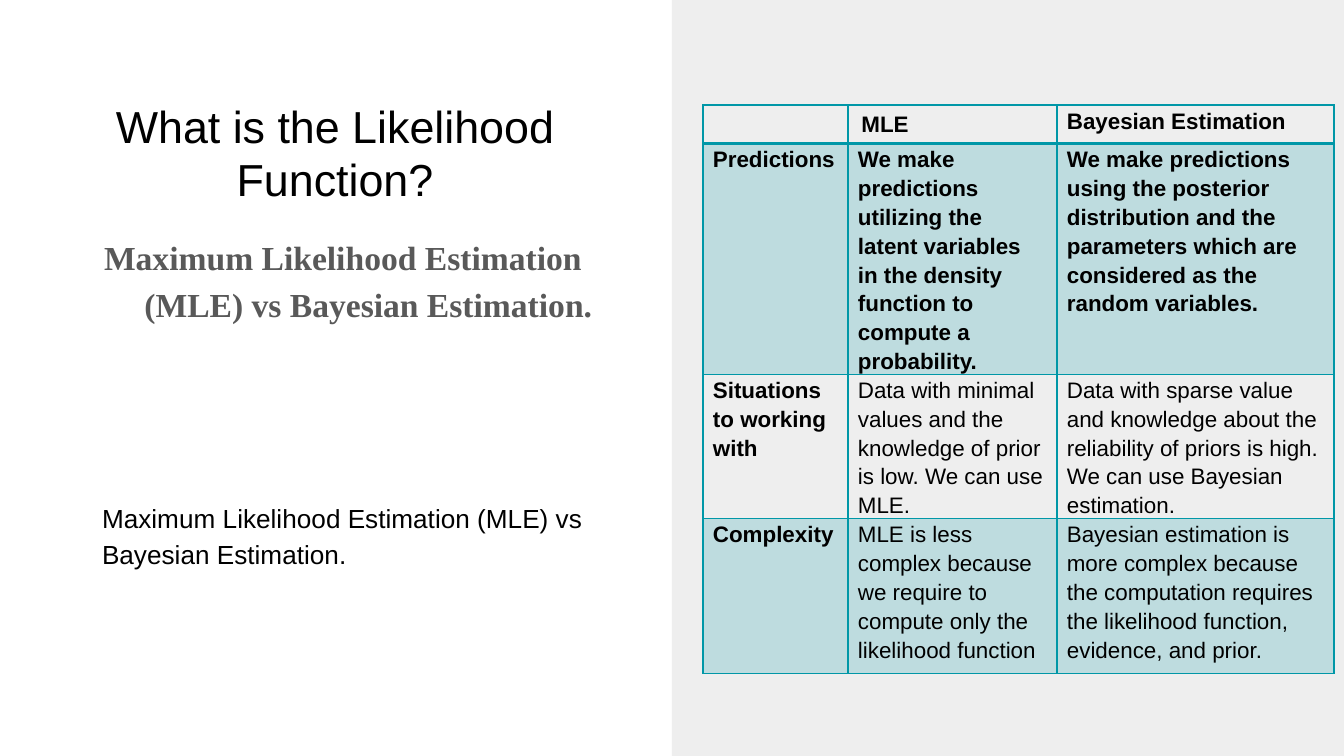
"""Build the slide comparing MLE with Bayesian estimation."""
from pptx import Presentation
from pptx.dml.color import RGBColor
from pptx.enum.shapes import MSO_SHAPE
from pptx.enum.text import MSO_ANCHOR, MSO_AUTO_SIZE, PP_ALIGN
from pptx.oxml.ns import qn
from pptx.util import Emu, Pt
from lxml import etree

RECTANGLE = MSO_SHAPE.RECTANGLE
MIDDLE = MSO_ANCHOR.MIDDLE
NO_FIT = MSO_AUTO_SIZE.NONE
LEFT, CENTER = PP_ALIGN.LEFT, PP_ALIGN.CENTER

TEAL, BLACK, GRAY, PANEL = "0097A7", "000000", "595959", "EEEEEE"
WIDTH, HEIGHT = 1344, 756
TOPIC = "Maximum Likelihood Estimation (MLE) vs Bayesian Estimation."

PLACEHOLDERS = [
    ("What is the Likelihood Function?", (38, 105, 594, 94),
     dict(size=24, align=CENTER)),
    (TOPIC, (38, 230, 594, 95),
     dict(size=18, font="Times New Roman", color=GRAY, bold=True,
          align=CENTER, margin=67, indent=-51, spacing=1.15)),
    (TOPIC, (69, 378, 564, 312), dict(size=14, margin=20, spacing=1.15)),
]

TABLE_LEFT, TABLE_TOP = 703, 105
COLUMNS = [145, 209, 277]
ROW_HEIGHTS = [36, 206, 128, 155]
ROWS = [
    ["", "MLE", "Bayesian Estimation"],
    ["Predictions",
     "We make predictions utilizing the latent variables in the density "
     "function to compute a probability.",
     "We make predictions using the posterior distribution and the "
     "parameters which are considered as the random variables."],
    ["Situations to working with",
     "Data with minimal values and the knowledge of prior is low. "
     "We can use MLE.",
     "Data with sparse value and knowledge about the reliability of priors "
     "is high. We can use Bayesian estimation."],
    ["Complexity",
     "MLE is less complex because we require to compute only the "
     "likelihood function",
     "Bayesian estimation is more complex because the computation requires "
     "the likelihood function, evidence, and prior."],
]


def px(n):
    return Emu(round(n * 914400 / 134.4))


def rgb(color):
    return RGBColor.from_string(color)


def write(tf, text, size=12, font="Arial", color=BLACK, bold=False,
          align=LEFT, margin=0, indent=0, spacing=1.0):
    p = tf.paragraphs[0]
    pPr = p._p.get_or_add_pPr()
    pPr.set("marL", str(px(margin)))
    pPr.set("indent", str(px(indent)))
    etree.SubElement(pPr, qn("a:buNone"))
    p.alignment, p.line_spacing, p.space_before = align, spacing, Pt(0)
    if not text:
        etree.SubElement(p._p, qn("a:endParaRPr"), sz=str(size * 100))
        return
    r = p.add_run()
    r.text = text
    r.font.size, r.font.name, r.font.bold = Pt(size), font, bold
    r.font.color.rgb = rgb(color)


def set_borders(cell, **widths):
    tcPr = cell._tc.get_or_add_tcPr()
    for side in "LRTB":
        line = etree.SubElement(tcPr, qn(f"a:ln{side}"),
                                w=str(Pt(widths.get(side, 0.75))))
        fill = etree.SubElement(line, qn("a:solidFill"))
        etree.SubElement(fill, qn("a:srgbClr"), val=TEAL)


def tint(cell, percent):
    cell.fill.solid()
    cell.fill.fore_color.rgb = rgb(TEAL)
    color = cell._tc.tcPr.find(qn("a:solidFill")).find(qn("a:srgbClr"))
    etree.SubElement(color, qn("a:alpha"), val=str(percent * 1000))


def add_panel(s):
    panel = s.shapes.add_shape(RECTANGLE, px(WIDTH / 2), 0,
                               px(WIDTH / 2), px(HEIGHT))
    panel.shadow.inherit = False
    panel.fill.solid()
    panel.fill.fore_color.rgb = rgb(PANEL)
    panel.line.fill.background()


def fill_placeholders(s):
    for sp, (text, box, style) in zip(s.placeholders, PLACEHOLDERS):
        sp.left, sp.top, sp.width, sp.height = map(px, box)
        tf = sp.text_frame
        tf.word_wrap, tf.auto_size, tf.vertical_anchor = True, NO_FIT, MIDDLE
        tf.margin_left = tf.margin_right = px(13)
        tf.margin_top = tf.margin_bottom = px(13)
        write(tf, text, **style)


def add_comparison(s):
    table = s.shapes.add_table(
        len(ROWS), len(COLUMNS), px(TABLE_LEFT), px(TABLE_TOP),
        px(sum(COLUMNS)), px(sum(ROW_HEIGHTS))).table
    table.first_row = table.horz_banding = False
    for column, width in zip(table.columns, COLUMNS):
        column.width = px(width)
    for i, (row, height) in enumerate(zip(ROWS, ROW_HEIGHTS)):
        table.rows[i].height = px(height)
        for j, text in enumerate(row):
            cell = table.cell(i, j)
            plain = text == "MLE"
            if not plain:
                cell.margin_left = cell.margin_right = px(10)
                cell.margin_top = cell.margin_bottom = 0
            write(cell.text_frame, text, bold=i < 2 or j == 0,
                  spacing=1.0 if plain else 1.15)
            set_borders(cell, T=2 if i == 1 else 0.75,
                        B=2 if i == 0 else 0.75)
            if i % 2:
                tint(cell, 20)
            else:
                cell.fill.background()


def main():
    prs = Presentation()
    prs.slide_width, prs.slide_height = px(WIDTH), px(HEIGHT)
    s = prs.slides.add_slide(prs.slide_layouts[3])
    add_panel(s)
    fill_placeholders(s)
    add_comparison(s)
    prs.save("out.pptx")


if __name__ == "__main__":
    main()
